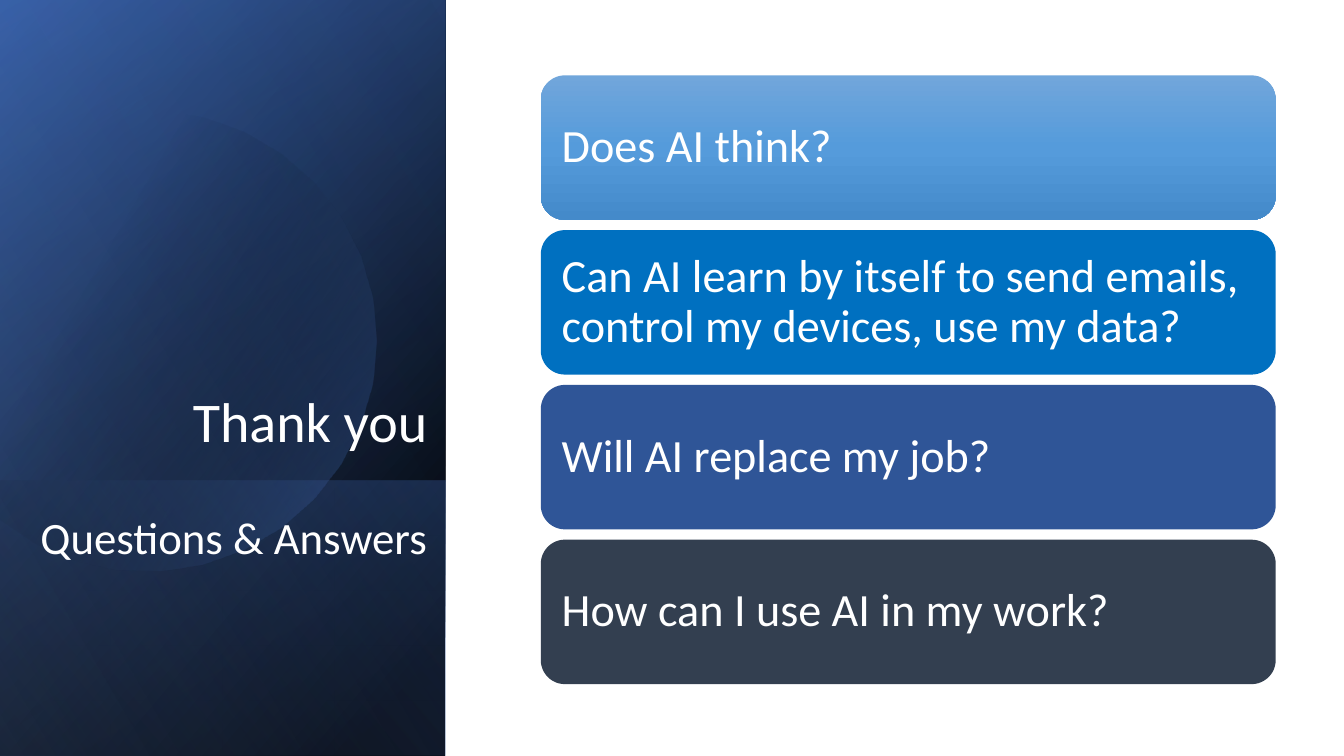
from dataclasses import dataclass
from math import acos, cos, sin
from typing import NamedTuple

from pptx import Presentation
from pptx.dml.color import RGBColor
from pptx.enum.shapes import MSO_SHAPE as Shape
from pptx.enum.text import MSO_ANCHOR as Anchor, PP_ALIGN as Align
from pptx.oxml import parse_xml
from pptx.oxml.ns import nsdecls
from pptx.util import Cm, Pt

WHITE = RGBColor(0xFF, 0xFF, 0xFF)
BLACK = RGBColor(0x00, 0x00, 0x00)
BLUE = RGBColor(0x44, 0x72, 0xC4)
NAVY = RGBColor(0x2F, 0x55, 0x97)
PALE = RGBColor(0x8F, 0xAA, 0xDC)
SKY = RGBColor(0x00, 0x70, 0xC0)
SLATE = RGBColor(0x33, 0x3F, 0x50)
LIGHT = RGBColor(0x71, 0xA6, 0xDB)
MID = RGBColor(0x55, 0x9B, 0xDB)
DEEP = RGBColor(0x44, 0x8A, 0xCA)

WIDE, HIGH = 33.87, 19.05
SIDE = 11.22
BAND = 12.1
FONT = "Calibri"


class Stop(NamedTuple):
    place: int
    color: RGBColor
    alpha: int = 100


@dataclass
class Blend:
    angle: int
    stops: list[Stop]


@dataclass
class Panel:
    top: float
    blend: Blend


@dataclass
class Bar:
    text: str
    fill: RGBColor | Blend


BACK = [
    Panel(0, Blend(220, [Stop(8, BLACK), Stop(100, NAVY)])),
    Panel(0, Blend(240, [Stop(0, BLACK, 0), Stop(99, BLUE, 46)])),
    Panel(BAND, Blend(140, [Stop(2, BLUE, 29), Stop(100, BLACK, 30)])),
]
DISC = Blend(30, [Stop(29, BLACK, 0), Stop(100, BLUE, 43)])
GLOW = Panel(0, Blend(150, [Stop(0, BLACK, 0), Stop(99, PALE, 11)]))
BARS = [
    Bar("Does AI think?",
        Blend(90, [Stop(0, LIGHT), Stop(50, MID), Stop(100, DEEP)])),
    Bar("Can AI learn by itself to send emails, control my devices, "
        "use my data?", SKY),
    Bar("Will AI replace my job?", NAVY),
    Bar("How can I use AI in my work?", SLATE),
]


def paint(shape, fill: RGBColor | Blend) -> None:
    """Fill a shape with a plain colour or a gradient, without line or shadow."""
    shape.shadow.inherit = False
    shape.line.fill.background()
    if isinstance(fill, RGBColor):
        shape.fill.solid()
        shape.fill.fore_color.rgb = fill
        return
    stops = "".join(
        f'<a:gs pos="{s.place * 1000}"><a:srgbClr val="{s.color}">'
        f'<a:alpha val="{s.alpha * 1000}"/></a:srgbClr></a:gs>'
        for s in fill.stops)
    shape.fill.background()
    props = shape.element.spPr
    blank = props.find("{*}noFill")
    props.replace(blank, parse_xml(
        f'<a:gradFill {nsdecls("a")} rotWithShape="1"><a:gsLst>{stops}</a:gsLst>'
        f'<a:lin ang="{fill.angle * 60000}" scaled="0"/></a:gradFill>'))


def write(para, text: str, *, size: float, align=Align.LEFT,
          before: float = 0) -> None:
    para.alignment = align
    para.line_spacing = 0.9
    para.space_before = Pt(before)
    run = para.add_run()
    run.text = text
    run.font.name = FONT
    run.font.size = Pt(size)
    run.font.color.rgb = WHITE


def add_panel(slide, panel: Panel) -> None:
    rect = slide.shapes.add_shape(
        Shape.RECTANGLE, 0, Cm(panel.top), Cm(SIDE), Cm(HIGH - panel.top))
    paint(rect, panel.blend)


def add_disc(slide, mid: tuple[float, float], radius: float) -> None:
    """Draw a circle that is cut straight at the slide's left edge."""
    x, y = mid
    end = acos(-x / radius)
    parts = 24
    angles = [end * (2 * step / parts - 1) for step in range(parts + 1)]
    points = [(Cm(x + radius * cos(a)), Cm(y + radius * sin(a)))
              for a in angles]
    path = slide.shapes.build_freeform(*points[0])
    path.add_line_segments(points[1:], close=True)
    paint(path.convert_to_shape(), DISC)


def add_title(slide) -> None:
    box = slide.shapes.add_textbox(Cm(0.25), Cm(7.7), Cm(10.77), Cm(6.65))
    frame = box.text_frame
    frame.word_wrap = True
    frame.vertical_anchor = Anchor.BOTTOM
    write(frame.paragraphs[0], "Thank you", size=40, align=Align.RIGHT)
    write(frame.add_paragraph(), "Questions & Answers", size=32,
          align=Align.RIGHT, before=44)


def add_bar(slide, bar: Bar, top: float) -> None:
    shape = slide.shapes.add_shape(
        Shape.ROUNDED_RECTANGLE, Cm(13.63), Cm(top), Cm(18.52), Cm(3.64))
    paint(shape, bar.fill)
    frame = shape.text_frame
    frame.word_wrap = True
    frame.vertical_anchor = Anchor.MIDDLE
    frame.margin_left = frame.margin_right = Cm(0.35)
    write(frame.paragraphs[0], bar.text, size=33)


def main() -> None:
    deck = Presentation()
    deck.slide_width, deck.slide_height = Cm(WIDE), Cm(HIGH)
    slide = deck.slides.add_slide(deck.slide_layouts[6])
    for panel in BACK:
        add_panel(slide, panel)
    add_disc(slide, (3.68, 8.58), 5.8)
    add_panel(slide, GLOW)
    add_title(slide)
    for row, bar in enumerate(BARS):
        add_bar(slide, bar, 1.9 + row * 3.9)
    deck.save("out.pptx")


if __name__ == "__main__":
    main()
